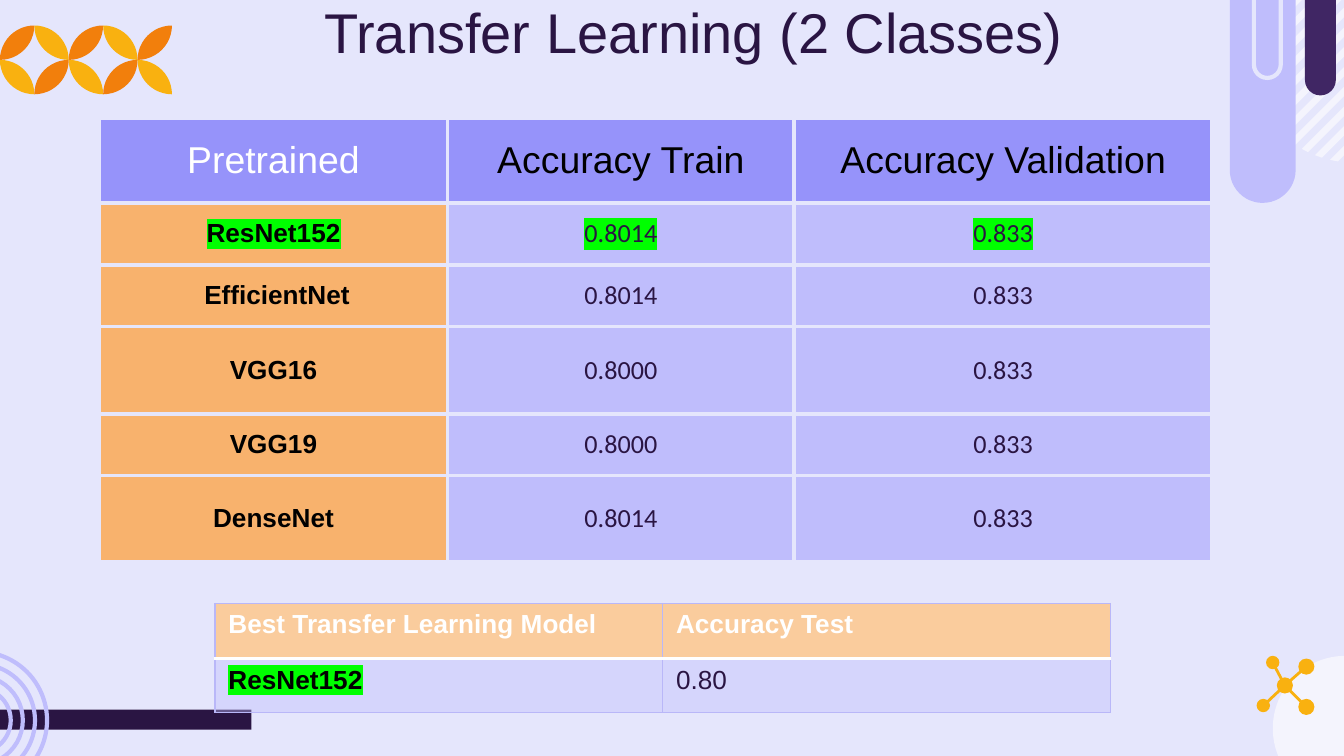
from math import cos, pi, sin, sqrt

from lxml import etree
from pptx import Presentation
from pptx.dml.color import RGBColor
from pptx.enum.shapes import MSO_CONNECTOR, MSO_SHAPE
from pptx.enum.text import MSO_ANCHOR, PP_ALIGN
from pptx.oxml.ns import qn
from pptx.util import Inches, Pt

RECT, OVAL = MSO_SHAPE.RECTANGLE, MSO_SHAPE.OVAL
PILL = MSO_SHAPE.ROUND_2_SAME_RECTANGLE
LINE = MSO_CONNECTOR.STRAIGHT
MIDDLE, TOP = MSO_ANCHOR.MIDDLE, MSO_ANCHOR.TOP
CENTER, LEFT = PP_ALIGN.CENTER, PP_ALIGN.LEFT

TITLE = "Transfer Learning (2 Classes)\v"
SCORES = [
    ("Pretrained", "Accuracy Train", "Accuracy Validation"),
    ("ResNet152", "0.8014", "0.833"),
    (" EfficientNet", "0.8014", "0.833"),
    ("VGG16", "0.8000", "0.833"),
    ("VGG19", "0.8000", "0.833"),
    ("DenseNet", "0.8014", "0.833"),
]
BEST = [("Best Transfer Learning Model", "Accuracy Test"), ("ResNet152", "0.80")]

THEME = dict(
    back="E5E6FC", ink="2A1543", plum="402664", lilac="BFBDFC", pale="F4F4FD",
    head="9693FA", sand="F8B26D", peach="FACC9D", edge="B9B7F8", gold="F9B110",
    orange="F27F0C", white="FFFFFF", black="000000", mark="00FF00",
    sans="Arial", num="Calibri", big=30, mid=20, small=14,
)

HUB = (9.56, 5.1, 0.06)
NODES = [(9.47, 4.93, 0.05), (9.72, 4.96, 0.06), (9.4, 5.25, 0.05), (9.72, 5.26, 0.06)]

deck = Presentation()
deck.slide_width = Inches(10)
deck.slide_height = deck.slide_width * 9 // 16
slide = deck.slides.add_slide(deck.slide_layouts[5])
shapes = slide.shapes


def rgb(key):
    return RGBColor.from_string(THEME[key])


def paint(shape, fill=None, line=None, width=2.25):
    shape.shadow.inherit = False
    if fill:
        shape.fill.solid()
        shape.fill.fore_color.rgb = rgb(fill)
    else:
        shape.fill.background()
    if line:
        shape.line.color.rgb = rgb(line)
        shape.line.width = Pt(width)
    else:
        shape.line.fill.background()


def draw(kind, box, fill=None, line=None):
    shape = shapes.add_shape(kind, *map(Inches, box))
    paint(shape, fill, line)
    return shape


def disc(x, y, r, fill=None, line=None):
    draw(OVAL, (x - r, y - r, 2 * r, 2 * r), fill, line)


def outline(pts, fill):
    pts = [(Inches(x), Inches(y)) for x, y in pts]
    form = shapes.build_freeform(*pts[0])
    form.add_line_segments(pts[1:])
    paint(form.convert_to_shape(), fill)


def stripes(x, y, r, first, step, wide, count):
    def ends(total):
        d = (total - x - y) / 2
        h = sqrt(r * r / 2 - d * d)
        return [(x + d - h, y + d + h), (x + d + h, y + d - h)]

    for i in range(count):
        start = first + i * step
        outline(ends(start) + ends(start + wide)[::-1], "pale")


def petal(x, y, side, rise, fill, steps=12):
    turns = [pi / 2 * i / steps for i in range(steps + 1)]
    pts = [(sin(t), 1 - cos(t)) for t in turns]
    pts += [(1 - sin(t), cos(t)) for t in turns[1:-1]]
    outline([(x + side * u, y + side * (1 - v if rise else v)) for u, v in pts], fill)


def style(para, font, size, color, bold=False, align=LEFT):
    para.alignment = align
    para.font.name = font
    para.font.size = Pt(size)
    para.font.color.rgb = rgb(color)
    para.font.bold = bold


def border(cell, side, color, width):
    props = cell._tc.get_or_add_tcPr()
    ln = etree.SubElement(props, qn("a:" + side), w=str(Pt(width)))
    fill = etree.SubElement(ln, qn("a:solidFill"))
    etree.SubElement(fill, qn("a:srgbClr"), val=THEME[color])


def mark(para):
    props = para.runs[0]._r.get_or_add_rPr()
    tint = etree.SubElement(props, qn("a:highlight"))
    etree.SubElement(tint, qn("a:srgbClr"), val=THEME["mark"])


def grid(data, left, top, cols, rows, look, lines):
    box = [Inches(v) for v in (left, top, sum(cols), sum(rows))]
    table = shapes.add_table(len(rows), len(cols), *box).table
    table.first_row = table.horz_banding = False
    for col, width in zip(table.columns, cols):
        col.width = Inches(width)
    for r, (row, height) in enumerate(zip(data, rows)):
        table.rows[r].height = Inches(height)
        for c, text in enumerate(row):
            cell = table.cell(r, c)
            for side in ("lnL", "lnR", "lnT", "lnB"):
                border(cell, side, *lines(r, side))
            fill, alpha, lit, anchor, pad, font = look(r, c)
            cell.fill.solid()
            cell.fill.fore_color.rgb = rgb(fill)
            if alpha:
                tone = cell._tc.tcPr.find(qn("a:solidFill"))[0]
                etree.SubElement(tone, qn("a:alpha"), val=str(alpha * 1000))
            cell.vertical_anchor = anchor
            cell.margin_left = cell.margin_right = Inches(0.1)
            cell.margin_top = cell.margin_bottom = Inches(pad)
            para = cell.text_frame.paragraphs[0]
            para.text = text
            style(para, *font)
            if lit:
                mark(para)


def score(r, c):
    if r == 0:
        fill = "head"
        font = (THEME["sans"], THEME["mid"], "black" if c else "white", False, CENTER)
    elif c == 0:
        fill, font = "sand", (THEME["sans"], THEME["small"], "black", True, CENTER)
    else:
        fill, font = "lilac", (THEME["num"], THEME["small"], "ink", False, CENTER)
    return fill, None, r == 1, MIDDLE, 0.1, font


def best(r, c):
    color = "white" if r == 0 else "ink" if c else "black"
    font = (THEME["sans"], THEME["small"], color, r == 0 or c == 0)
    fill, alpha = ("lilac", 40) if r else ("peach", None)
    return fill, alpha, r == 1 and c == 0, TOP, 0.05, font


def rule(r, side):
    return ("white", 2) if (r, side) in ((0, "lnB"), (1, "lnT")) else ("edge", 0.75)


slide.background.fill.solid()
slide.background.fill.fore_color.rgb = rgb("back")

draw(RECT, (-0.25, 5.28, 2.12, 0.15), "ink")
disc(10.01, 5.42, 0.54, "pale")
for i in range(4):
    disc(-0.16, 5.36, 0.51 - 0.09 * i, line="lilac")
stripes(10.07, 0.44, 0.77, 9.47, 0.147, 0.07, 12)
for box, fill, line in [
    ((9.71, -0.03, 0.23, 0.74), "plum", None),
    ((9.15, -0.03, 0.49, 1.54), "lilac", None),
    ((9.33, -0.03, 0.2, 0.61), None, "back"),
]:
    pill = draw(PILL, box, fill, line)
    pill.adjustments[0], pill.adjustments[1] = 0, 0.5

SIDE = 0.256
for col in range(5):
    for row in range(2):
        rise = (col + row) % 2 == 0
        petal(col * SIDE, 0.19 + row * SIDE, SIDE, rise, "orange" if rise else "gold")

for x, y, r in NODES:
    arm = shapes.add_connector(LINE, *map(Inches, (*HUB[:2], x, y)))
    arm.line.color.rgb = rgb("gold")
    arm.line.width = Pt(1.5)
    etree.SubElement(arm._element.spPr, qn("a:effectLst"))
for node in [HUB, *NODES]:
    disc(*node, "gold")

title = shapes.title
title.left, title.top, title.width, title.height = map(Inches, (0.94, 0.22, 8.44, 0.52))
frame = title.text_frame
frame.paragraphs[0].text = TITLE
frame.word_wrap = True
frame.vertical_anchor = MIDDLE
frame.margin_top = frame.margin_bottom = Inches(0.1)
style(frame.paragraphs[0], THEME["sans"], THEME["big"], "ink", align=CENTER)

grid(SCORES, 0.74, 0.88, [2.59, 2.58, 3.11], [0.63, 0.46, 0.46, 0.65, 0.46, 0.64],
     score, lambda r, side: ("back", 2.25))
grid(BEST, 1.6, 4.49, [3.33] * 2, [0.41, 0.4], best, rule)

deck.save("out.pptx")
